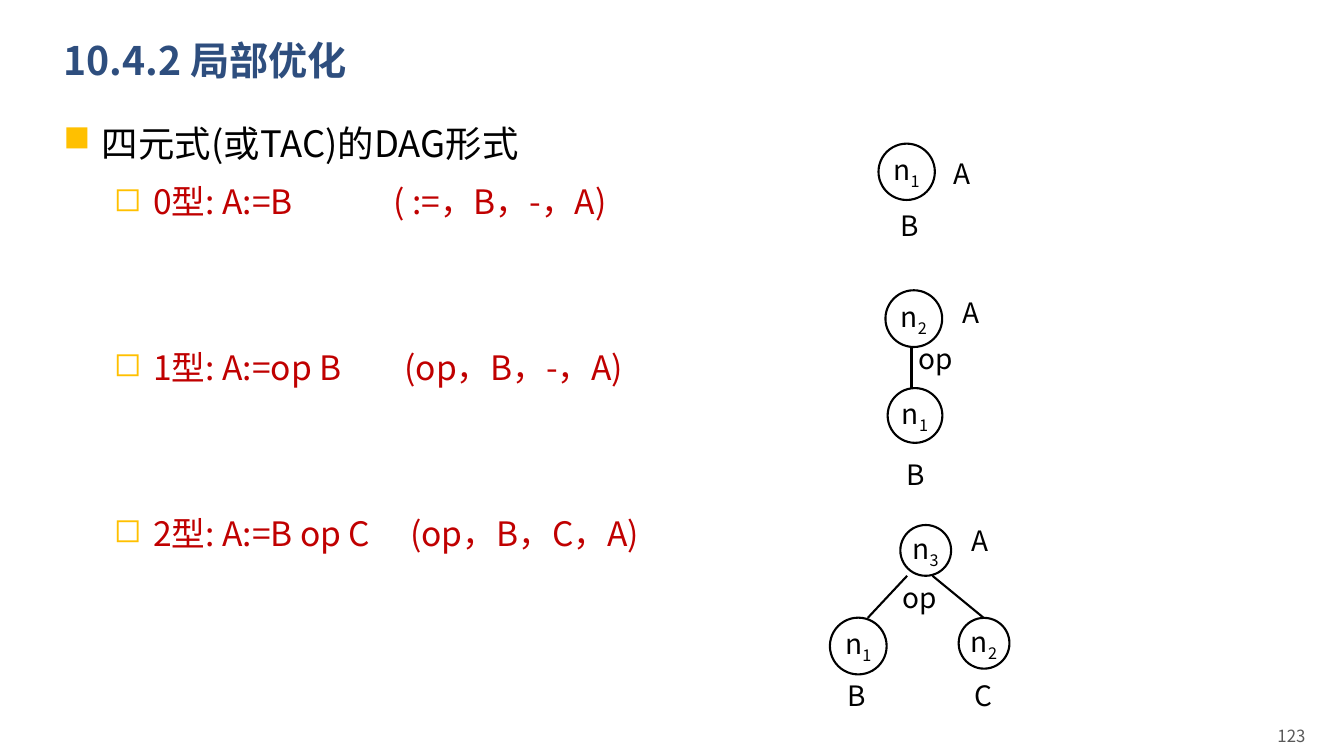
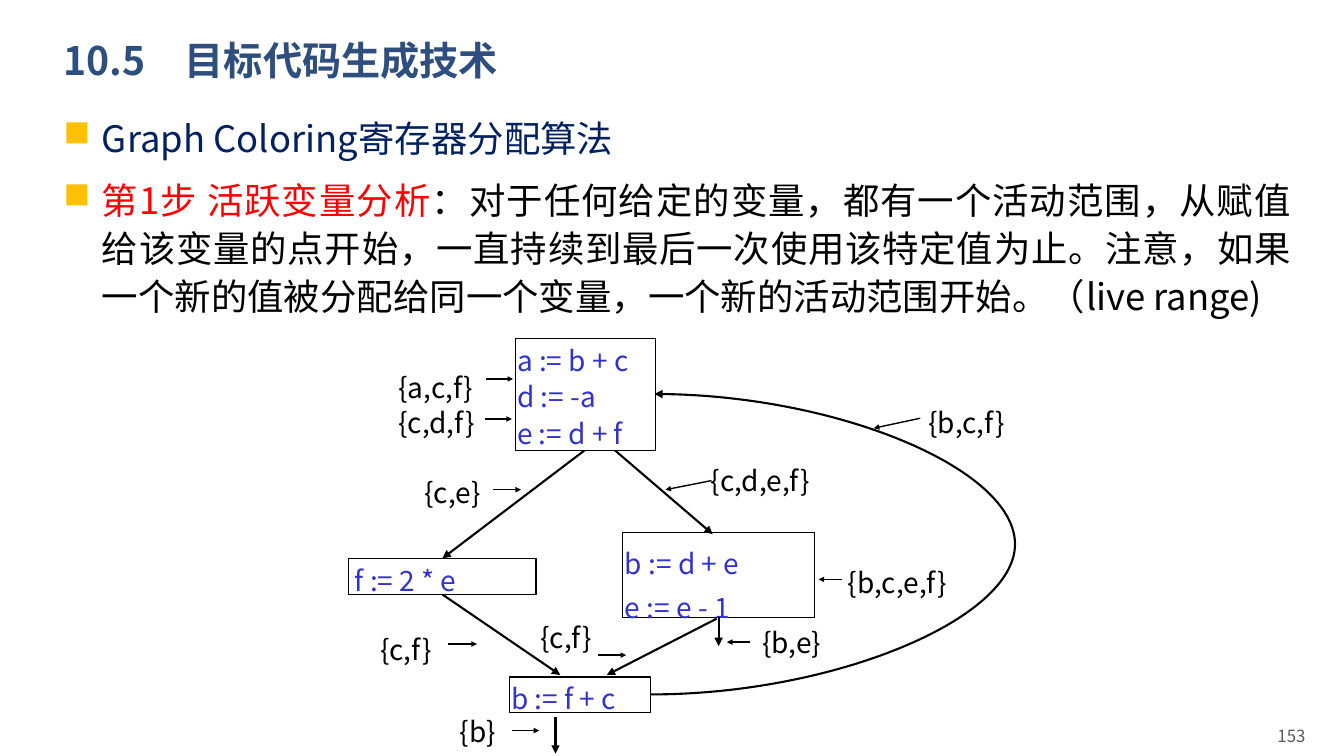
from lxml.etree import SubElement
from pptx import Presentation
from pptx.dml.color import RGBColor
from pptx.enum.shapes import MSO_CONNECTOR, MSO_SHAPE
from pptx.enum.text import MSO_ANCHOR, PP_ALIGN
from pptx.oxml.ns import qn
from pptx.util import Cm, Pt

FONT = "Noto Sans CJK SC"
BLACK = RGBColor(0x00, 0x00, 0x00)
BLUE = RGBColor(0x2E, 0x4E, 0x7E)
NAVY = RGBColor(0x00, 0x20, 0x60)
RED = RGBColor(0xFF, 0x00, 0x00)
BRICK = RGBColor(0xC0, 0x00, 0x00)
GOLD = RGBColor(0xFF, 0xC0, 0x00)
GRAY = RGBColor(0x59, 0x59, 0x59)
CODE = RGBColor(0x33, 0x33, 0xCC)

TREES = [
    ((22.85, 4.33),
     [(0, 0, 1.42, "1")],
     [(1.4, 0.04, "A"), (0.08, 1.36, "B")],
     []),
    ((23.03, 8.03),
     [(0, 0, 1.43, "2"), (0.03, 2.44, 1.38, "1")],
     [(1.45, -0.15, "A"), (0.56, 0.99, "op"), (0.05, 3.91, "B")],
     [(-0.06, 0.74, -0.06, 1.75)]),
    ((23.33, 13.87),
     [(0, 0, 1.28, "3"), (-1.7, 2.41, 1.43, "1"), (1.47, 2.34, 1.28, "2")],
     [(1.37, -0.25, "A"), (-0.15, 1.17, "op"), (-1.73, 3.66, "B"),
      (1.45, 3.66, "C")],
     [(-0.47, 0.64, -1.46, 1.7), (0.17, 0.64, 1.46, 1.7)]),
]

BLOCKS = [
    (4.19, 0, 3.53, 2.82, 26, 0.05, "a := b + c\nd := -a\ne := d + f"),
    (0, 5.54, 4.72, 0.91, 26, 0.15, "f := 2 * e"),
    (6.91, 4.9, 4.83, 2.13, 32, 0.05, "b := d + e\ne := e - 1"),
    (4.04, 8.53, 3.56, 0.89, 26, 0.05, "b := f + c"),
]
SETS = [
    (1.22, 0.69, "{a,c,f}"), (1.22, 1.57, "{c,d,f}"), (1.88, 3.33, "{c,e}"),
    (0.76, 7.29, "{c,f}"), (4.8, 6.99, "{c,f}"), (2.77, 9.35, "{b}"),
    (10.39, 7.11, "{b,e}"), (12.55, 5.61, "{b,c,e,f}"),
    (9.09, 3.02, "{c,d,e,f}"), (14.58, 1.57, "{b,c,f}"),
]
HINTS = [
    (3.45, 1.02, 4.14, 1.02), (3.43, 2.03, 4.11, 2.03),
    (3.63, 3.81, 4.34, 3.81), (2.51, 7.7, 3.23, 7.7),
    (10.11, 7.65, 9.53, 7.65), (6.27, 7.98, 6.99, 7.98),
    (4.11, 9.88, 4.8, 9.88), (12.42, 6.07, 11.84, 6.07),
    (9.14, 3.58, 7.98, 3.81), (14.4, 2.01, 13.23, 2.26),
]
EDGES = [
    (5.94, 2.82, 2.36, 5.54), (6.71, 2.82, 9.17, 4.93),
    (2.36, 6.45, 5.33, 8.48), (9.27, 7.06, 6.5, 8.48),
    (5.21, 9.53, 5.21, 10.46), (9.32, 7.01, 9.32, 7.75),
]
LOOP = (7.62, 8.97, 7.7, 1.4)
REACH = 9.17


def style(run, size, color, bold=False):
    font = run.font
    font.name, font.size, font.bold = FONT, Pt(size), bold
    font.color.rgb = color
    SubElement(run._r.get_or_add_rPr(), qn("a:ea"), typeface=FONT)


def paint(frame, size, color, bold=False):
    for para in frame.paragraphs:
        for run in para.runs:
            style(run, size, color, bold)


def label(slide, box, text, size=20, color=BLACK, align=PP_ALIGN.CENTER):
    frame = slide.shapes.add_textbox(*map(Cm, box)).text_frame
    frame.text = text
    frame.vertical_anchor = MSO_ANCHOR.MIDDLE
    frame.paragraphs[0].alignment = align
    paint(frame, size, color)


def line(slide, ends, width=1.5, head=None, kind=MSO_CONNECTOR.STRAIGHT):
    wire = slide.shapes.add_connector(kind, *map(Cm, ends))
    wire.line.color.rgb = BLACK
    wire.line.width = Pt(width)
    if head:
        SubElement(wire.line._get_or_add_ln(), qn("a:tailEnd"),
                   type="triangle", w=head, len=head)
    SubElement(wire._element.spPr, qn("a:effectLst"))
    return wire


def shift(left, top, ends):
    x1, y1, x2, y2 = ends
    return left + x1, top + y1, left + x2, top + y2


def outline(slide, kind, box, width):
    shape = slide.shapes.add_shape(kind, *map(Cm, box))
    shape.shadow.inherit = False
    shape.fill.background()
    shape.line.color.rgb = BLACK
    shape.line.width = Pt(width)
    return shape


def page(deck, title, number):
    slide = deck.slides.add_slide(deck.slide_layouts[5])
    head = slide.shapes.title
    head.left, head.top, head.width, head.height = map(
        Cm, (1.35, 0.71, 29.21, 1.73))
    frame = head.text_frame
    frame.text = title
    frame.vertical_anchor = MSO_ANCHOR.MIDDLE
    frame.paragraphs[0].alignment = PP_ALIGN.LEFT
    frame.paragraphs[0].line_spacing = 0.9
    paint(frame, 28, BLUE, True)
    label(slide, (23.27, 18.03, 9.88, 1.02), number, 12, GRAY,
          PP_ALIGN.RIGHT)
    return slide


def bullet(para, mark, left, hang, stop=None):
    props = para._p.get_or_add_pPr()
    props.set("marL", str(Cm(left)))
    props.set("indent", str(-Cm(hang)))
    tint = SubElement(props, qn("a:buClr"))
    SubElement(tint, qn("a:srgbClr"), val=str(GOLD))
    SubElement(props, qn("a:buChar"), char=mark)
    if stop:
        tabs = SubElement(props, qn("a:tabLst"))
        SubElement(tabs, qn("a:tab"), pos=str(Cm(stop)), algn="l")


def body(slide, box, items):
    frame = slide.shapes.add_textbox(*map(Cm, box)).text_frame
    frame.word_wrap = True
    for i, (level, size, pitch, gap, stop, parts) in enumerate(items):
        para = frame.add_paragraph() if i else frame.paragraphs[0]
        if level:
            bullet(para, "◻", 2.26, 0.99, stop)
        else:
            bullet(para, "■", 0.97, 0.97)
        para.level = level
        para.alignment = PP_ALIGN.JUSTIFY
        para.line_spacing = Pt(pitch)
        para.space_before = Pt(gap)
        for text, color in parts:
            run = para.add_run()
            run.text = text
            style(run, size, color)


def node(slide, x, y, size, index):
    box = x - size / 2, y - size / 2, size, size
    frame = outline(slide, MSO_SHAPE.OVAL, box, 1.5).text_frame
    frame.word_wrap = False
    frame.vertical_anchor = MSO_ANCHOR.MIDDLE
    para = frame.paragraphs[0]
    para.alignment = PP_ALIGN.CENTER
    for text in ("n", index):
        para.add_run().text = text
    paint(frame, 20, BLACK)
    para.runs[1]._r.get_or_add_rPr().set("baseline", "-25000")


def tree(slide, spot, nodes, names, edges):
    left, top = spot
    for x, y, size, index in nodes:
        node(slide, left + x, top + y, size, index)
    for x, y, text in names:
        label(slide, (left + x - 0.75, top + y - 0.7, 1.5, 1.4), text)
    for ends in edges:
        line(slide, shift(left, top, ends))


def code(frame, text, pitch, pad, color):
    frame.margin_left, frame.margin_top = Cm(pad), Cm(0.05)
    frame.margin_right = frame.margin_bottom = 0
    frame.vertical_anchor = MSO_ANCHOR.TOP
    frame.text = text
    for para in frame.paragraphs:
        para.alignment = PP_ALIGN.LEFT
        para.line_spacing = Pt(pitch)
    paint(frame, 20, color)


def flow(slide, left, top):
    for x, y, wide, high, pitch, pad, text in BLOCKS:
        box = left + x, top + y, wide, high
        shape = outline(slide, MSO_SHAPE.RECTANGLE, box, 0.75)
        code(shape.text_frame, text, pitch, pad, CODE)
    for x, y, text in SETS:
        box = slide.shapes.add_textbox(
            Cm(left + x), Cm(top + y), Cm(3), Cm(0.89))
        code(box.text_frame, text, 26, 0.03, BLACK)
    for ends in HINTS:
        line(slide, shift(left, top, ends), 1, "sm")
    for ends in EDGES:
        line(slide, shift(left, top, ends), 1.5, "med")
    back = line(slide, shift(left, top, LOOP), 1.5, "med",
                MSO_CONNECTOR.CURVE)
    bend = back._element.spPr.find(qn("a:prstGeom"))
    rule = bend.find(qn("a:avLst"))
    if rule is None:
        rule = SubElement(bend, qn("a:avLst"))
    ratio = round(Cm(REACH) / back.width * 100000)
    SubElement(rule, qn("a:gd"), name="adj1", fmla=f"val {ratio}")


def local(deck):
    slide = page(deck, "10.4.2 局部优化", "123")
    body(slide, (1.35, 2.7, 18.92, 15.65), [
        (0, 26, 37.5, 0, None, [("四元式(或TAC)的DAG形式", BLACK)]),
        (1, 24, 34.5, 6, 8.31, [("0型: A:=B\t( :=，B，-，A)", BRICK)]),
        (1, 24, 34.5, 84, 8.59, [("1型: A:=op B\t(op，B，-，A)", BRICK)]),
        (1, 24, 34.5, 84, 8.74, [("2型: A:=B op C\t(op，B，C，A)", BRICK)]),
    ])
    for parts in TREES:
        tree(slide, *parts)


def target(deck):
    slide = page(deck, "10.5　目标代码生成技术", "153")
    body(slide, (1.35, 2.7, 31.45, 5.77), [
        (0, 26, 34.3, 0, None, [("Graph Coloring寄存器分配算法", NAVY)]),
        (0, 26, 34.3, 10, None, [
            ("第1步 活跃变量分析", RED),
            ("：对于任何给定的变量，都有一个活动范围，从赋值给该变量的点开始，"
             "一直持续到最后一次使用该特定值为止。注意，如果一个新的值被分配给"
             "同一个变量，一个新的活动范围开始。（live range)", BLACK)]),
    ])
    flow(slide, 8.79, 8.53)


def main():
    deck = Presentation()
    deck.slide_width, deck.slide_height = Cm(33.87), Cm(19.05)
    local(deck)
    target(deck)
    deck.save("out.pptx")


if __name__ == "__main__":
    main()
